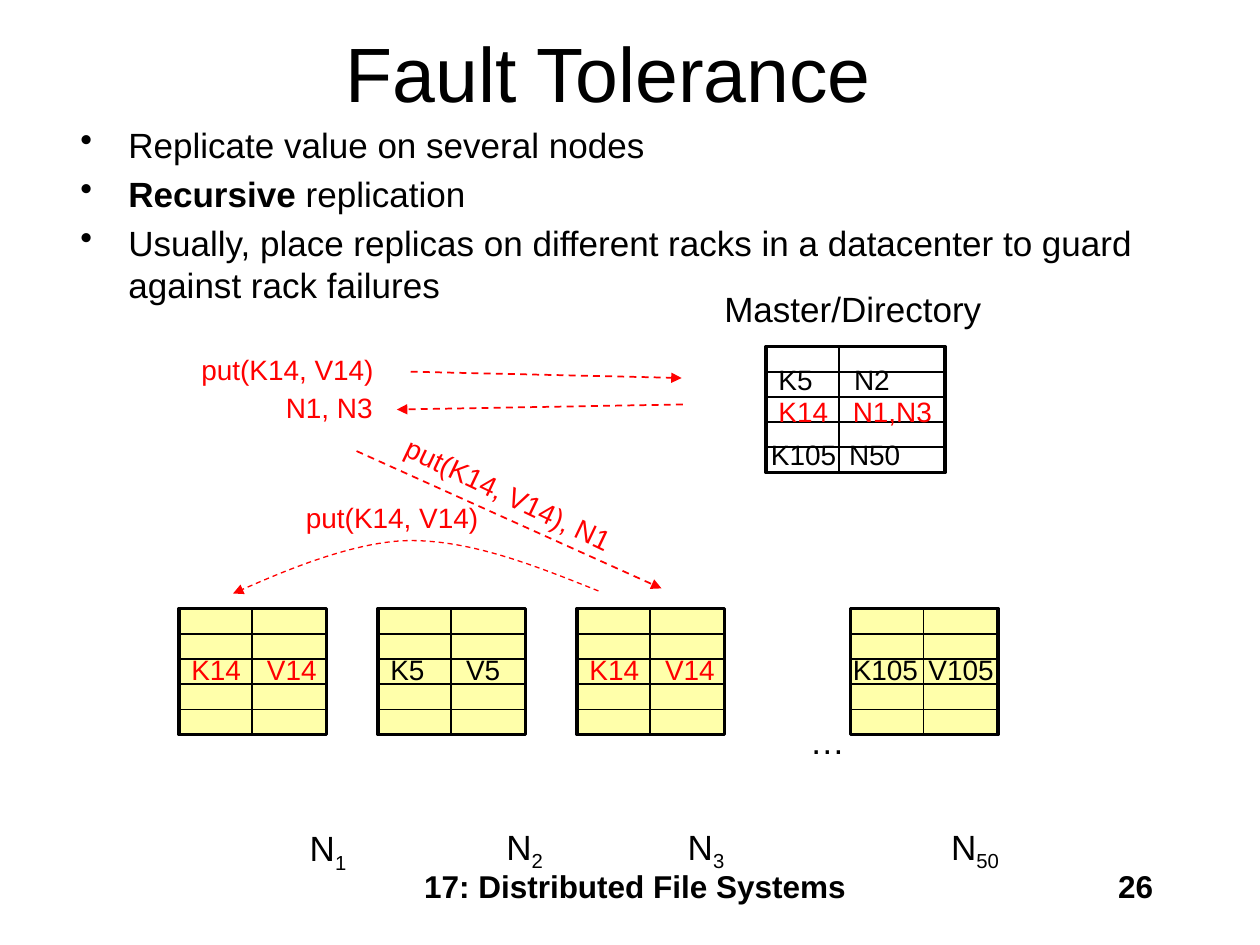
import pptx
import pptx.util
import pptx.dml.color
import pptx.enum.dml
import pptx.enum.shapes
import pptx.enum.text
import pptx.oxml.ns
import pptx.oxml.xmlchemy
from dataclasses import dataclass
from typing import Any

Inches = pptx.util.Inches
Pt = pptx.util.Pt
Align = pptx.enum.text.PP_ALIGN
qn = pptx.oxml.ns.qn
make_element = pptx.oxml.xmlchemy.OxmlElement

COLORS = {"black": "000000", "red": "FF0000", "yellow": "FFFFAA", "white": "FFFFFF"}
GRID_TOP = 4.83
ROW_HEIGHT = 0.2
ROWS = 5
KEY_WIDTH = 0.58


@dataclass
class Node:
    left: float
    key: str
    value: str
    color: str
    cell_left: float
    number: str
    name_left: float
    name_top: float = 6.5


@dataclass
class Label:
    text: str
    left: float
    top: float
    width: float
    color: str = "black"
    size: int = 16
    rotation: float = 0


@dataclass
class Arrow:
    start: tuple[float, float]
    end: tuple[float, float]


NODES = [
    Node(1.42, "K14", "V14", "red", 1.42, "1", 2.36, 6.51),
    Node(3.0, "K5", "V5", "black", 3.0, "2", 3.92),
    Node(4.58, "K14", "V14", "red", 4.58, "3", 5.36),
    Node(6.75, "K105", "V105", "black", 6.67, "50", 7.45),
]
LABELS = [
    Label("…", 6.33, 5.66, 0.48, size=20),
    Label("Master/Directory", 5.65, 2.23, 2.28, size=20),
    Label("K5", 6.08, 2.83, 0.51),
    Label("N2", 6.68, 2.83, 0.52),
    Label("K14", 6.08, 3.08, 0.65, "red"),
    Label("N1,N3", 6.67, 3.08, 0.92, "red"),
    Label("K105", 6.02, 3.42, 0.79),
    Label("N50", 6.64, 3.42, 0.67),
    Label("put(K14, V14)", 1.5, 2.75, 1.76, "red"),
    Label("N1, N3", 2.17, 3.05, 0.99, "red"),
    Label("put(K14, V14), N1", 3.03, 3.79, 2.22, "red", rotation=25.5),
    Label("put(K14, V14)", 2.33, 3.92, 1.76, "red"),
]
ARROWS = [
    Arrow((3.26, 2.95), (5.41, 3.0)),
    Arrow((5.42, 3.21), (3.15, 3.25)),
    Arrow((2.83, 3.58), (5.25, 4.67)),
]
CURVE = [(4.75, 4.69), (4.25, 4.49), (3.75, 4.29), (3.26, 4.29),
         (2.78, 4.29), (1.85, 4.71), (1.85, 4.71)]
BULLETS = [
    [("Replicate value on several nodes", False)],
    [("Recursive", True), (" replication", False)],
    [("Usually, place replicas on different racks in a datacenter "
      "to guard against rack failures", False)],
]


def rgb(color: str) -> pptx.dml.color.RGBColor:
    return pptx.dml.color.RGBColor.from_string(COLORS[color])


def format_span(span: Any, size: float, color: str = "black", bold: bool = False) -> None:
    span.font.name = "Arial"
    span.font.size = Pt(size)
    span.font.bold = bold
    span.font.color.rgb = rgb(color)


def format_line(shape: Any, color: str, width: float) -> None:
    shape.line.color.rgb = rgb(color)
    shape.line.width = Pt(width)


def make_dashed_arrow(shape: Any, width: float) -> None:
    format_line(shape, "red", width)
    shape.line.dash_style = pptx.enum.dml.MSO_LINE.DASH
    tail = make_element("a:tailEnd")
    tail.set("type", "triangle")
    shape.line._get_or_add_ln().append(tail)


def add_line(shapes: Any, start: tuple[float, float], end: tuple[float, float]) -> Any:
    line = shapes.add_connector(
        pptx.enum.shapes.MSO_CONNECTOR.STRAIGHT, *map(Inches, start + end))
    format_line(line, "black", 1)
    line._element.spPr.append(make_element("a:effectLst"))
    return line


def add_label(shapes: Any, label: Label) -> Any:
    height = 0.44 if label.size == 20 else 0.4
    box = shapes.add_textbox(*map(Inches, (label.left, label.top, label.width, height)))
    box.rotation = label.rotation
    box.text_frame.word_wrap = False
    box.text_frame.auto_size = pptx.enum.text.MSO_AUTO_SIZE.SHAPE_TO_FIT_TEXT
    box.text_frame.text = label.text
    format_span(box.text_frame.paragraphs[0].runs[0], label.size, label.color)
    return box


def add_grid(shapes: Any, left: float, top: float, width: float, fill: str) -> None:
    group = shapes.add_group_shape().shapes
    height = ROWS * ROW_HEIGHT
    frame = group.add_shape(pptx.enum.shapes.MSO_SHAPE.RECTANGLE,
                            *map(Inches, (left, top, width, height)))
    frame.shadow.inherit = False
    frame.fill.solid()
    frame.fill.fore_color.rgb = rgb(fill)
    format_line(frame, "black", 2)
    add_line(group, (left + KEY_WIDTH, top), (left + KEY_WIDTH, top + height))
    for row in range(ROWS):
        y = top + row * ROW_HEIGHT
        add_line(group, (left, y), (left + width, y))


def add_node(shapes: Any, node: Node) -> None:
    add_grid(shapes, node.left, GRID_TOP, 1.17, "yellow")
    width = 0.23 + 0.14 * len(node.key)
    for text, offset in ((node.key, 0), (node.value, 0.6)):
        add_label(shapes, Label(text, node.cell_left + offset, 5.13, width, node.color))
    name_width = 0.41 + 0.1 * len(node.number)
    box = add_label(shapes, Label("N", node.name_left, node.name_top, name_width, size=20))
    span = box.text_frame.paragraphs[0].add_run()
    span.text = node.number
    format_span(span, 20)
    span.font._element.set("baseline", "-25000")


def add_curve(shapes: Any) -> None:
    points = [(Inches(x), Inches(y)) for x, y in CURVE]
    builder = shapes.build_freeform(*points[0])
    builder.add_line_segments(points[1:], close=False)
    curve = builder.convert_to_shape()
    curve.shadow.inherit = False
    curve.fill.background()
    make_dashed_arrow(curve, 0.75)
    outline = next(curve._element.iter(qn("a:moveTo"))).getparent()
    segments = outline.findall(qn("a:lnTo"))
    for first in range(0, len(segments), 3):
        bezier = make_element("a:cubicBezTo")
        for segment in segments[first:first + 3]:
            bezier.append(segment[0])
            outline.remove(segment)
        outline.append(bezier)


def add_bullets(shapes: Any) -> None:
    box = shapes.add_textbox(*map(Inches, (0.54, 0.93, 9.08, 1.42)))
    box.text_frame.word_wrap = True
    for index, spans in enumerate(BULLETS):
        para = box.text_frame.add_paragraph() if index else box.text_frame.paragraphs[0]
        para.space_before = Pt(4 if index else 0)
        properties = para._p.get_or_add_pPr()
        properties.set("marL", str(Inches(0.38)))
        properties.set("indent", str(Inches(-0.38)))
        bullet = make_element("a:buChar")
        bullet.set("char", "•")
        properties.append(bullet)
        for text, bold in spans:
            span = para.add_run()
            span.text = text
            format_span(span, 20, bold=bold)


def add_footer(shapes: Any, text: str, left: float, width: float, align: Any) -> None:
    box = shapes.add_textbox(*map(Inches, (left, 6.83, width, 0.5)))
    box.text_frame.word_wrap = True
    box.text_frame.text = text
    para = box.text_frame.paragraphs[0]
    para.alignment = align
    format_span(para.runs[0], 18, bold=True)


def main() -> None:
    deck = pptx.Presentation()
    deck.slide_width, deck.slide_height = Inches(10), Inches(7.5)
    shapes = deck.slides.add_slide(deck.slide_layouts[5]).shapes
    title = shapes.title
    title.left, title.top, title.width, title.height = map(Inches, (0.58, 0.07, 8.5, 1))
    title.text_frame.text = "Fault Tolerance"
    title.text_frame.vertical_anchor = pptx.enum.text.MSO_ANCHOR.MIDDLE
    title.text_frame.paragraphs[0].alignment = Align.CENTER
    format_span(title.text_frame.paragraphs[0].runs[0], 44)
    add_bullets(shapes)
    for node in NODES:
        add_node(shapes, node)
    add_grid(shapes, 6.08, 2.75, 1.42, "white")
    for label in LABELS:
        add_label(shapes, label)
    for arrow in ARROWS:
        make_dashed_arrow(add_line(shapes, arrow.start, arrow.end), 1)
    add_curve(shapes)
    add_footer(shapes, "17: Distributed File Systems", 3.08, 3.92, Align.CENTER)
    add_footer(shapes, "26", 7.17, 2.08, Align.RIGHT)
    deck.save("out.pptx")


if __name__ == "__main__":
    main()
